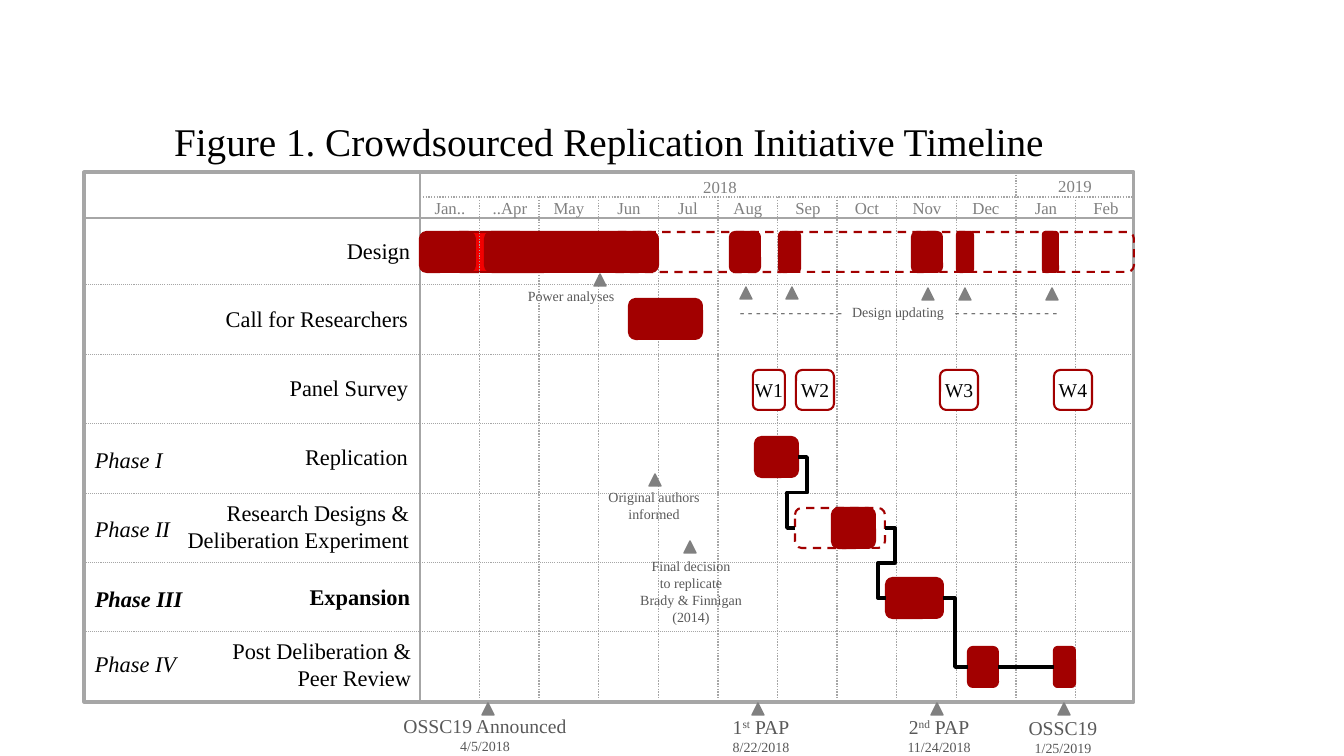
from dataclasses import dataclass
from typing import Any, NamedTuple

from lxml import etree
from pptx import Presentation
from pptx.dml.color import RGBColor
from pptx.enum.dml import MSO_LINE
from pptx.enum.shapes import MSO_CONNECTOR, MSO_SHAPE
from pptx.enum.text import MSO_ANCHOR, PP_ALIGN
from pptx.oxml.ns import qn
from pptx.util import Emu, Pt

STRAIGHT, ELBOW = MSO_CONNECTOR.STRAIGHT, MSO_CONNECTOR.ELBOW
ROUNDED, TRIANGLE, RECTANGLE = MSO_SHAPE.ROUNDED_RECTANGLE, MSO_SHAPE.ISOSCELES_TRIANGLE, MSO_SHAPE.RECTANGLE
DOTTED, DASHED = MSO_LINE.ROUND_DOT, MSO_LINE.DASH
LEFT, CENTER, RIGHT = PP_ALIGN.LEFT, PP_ALIGN.CENTER, PP_ALIGN.RIGHT
MIDDLE = MSO_ANCHOR.MIDDLE

BLACK = RGBColor(0x00, 0x00, 0x00)
WHITE = RGBColor(0xFF, 0xFF, 0xFF)
CRIMSON = RGBColor(0xA2, 0x00, 0x00)
BRIGHT_RED = RGBColor(0xF2, 0x00, 0x00)
GRID_GRAY = RGBColor(0xA6, 0xA6, 0xA6)
MARKER_GRAY = RGBColor(0x80, 0x80, 0x80)
NOTE_GRAY = RGBColor(0x59, 0x59, 0x59)

SCALE = 914400 / 100.8
FRAME_LEFT, FRAME_TOP, FRAME_RIGHT, FRAME_BOTTOM = 84, 172, 1134, 702
CHART_LEFT, YEAR_BOTTOM, HEADER_BOTTOM = 420, 197, 218
MONTH_STEP, FIRST_ROW_BOTTOM, ROW_STEP = 59.6, 285, 69.4
BAR_TOPS = (232, 299, 370, 437, 508, 578, 647)
BAR_HEIGHT, MARKER_SIZE = 40, 12
RIGHT_SITE, LEFT_SITE = 3, 1


class Style(NamedTuple):
    color: RGBColor
    align: Any
    font: dict[str, Any]


class Run(NamedTuple):
    text: str
    size: int | None = None
    raised: bool = False


@dataclass
class Label:
    left: int
    top: int
    width: int
    height: int
    paragraphs: list[list[Run]]
    style: Style


@dataclass
class Bar:
    row: int
    left: int
    width: int
    fill: RGBColor | None = CRIMSON
    dash: Any = None
    text: str = ""


def make_style(color: RGBColor, align: Any, size: int, **extra: Any) -> Style:
    return Style(color, align, {"name": "Times New Roman", "size": Pt(size), **extra})


TITLE = make_style(BLACK, CENTER, 28)
ACTIVITY = make_style(BLACK, RIGHT, 16)
MAIN_ACTIVITY = make_style(BLACK, RIGHT, 16, bold=True)
PHASE = make_style(BLACK, LEFT, 16, italic=True)
MAIN_PHASE = make_style(BLACK, LEFT, 16, italic=True, bold=True)
CALENDAR = make_style(MARKER_GRAY, CENTER, 12)
WAVE = make_style(BLACK, CENTER, 14)
MILESTONE = make_style(NOTE_GRAY, CENTER, 14)
NOTE = make_style(NOTE_GRAY, CENTER, 10)

presentation = Presentation()


def px(value: float) -> Emu:
    return Emu(round(value * SCALE))


presentation.slide_width, presentation.slide_height = px(1344), px(756)
slide = presentation.slides.add_slide(presentation.slide_layouts[6])


def write(frame: Any, paragraphs: list[list[Run]], style: Style) -> None:
    for index, runs in enumerate(paragraphs):
        paragraph = frame.paragraphs[0] if index == 0 else frame.add_paragraph()
        paragraph.alignment = style.align
        for piece in runs:
            run = paragraph.add_run()
            run.text = piece.text
            for key, value in style.font.items():
                setattr(run.font, key, value)
            run.font.color.rgb = style.color
            if piece.size:
                run.font.size = Pt(piece.size)
            if piece.raised:
                run.font._element.set("baseline", "30000")


def add_label(label: Label) -> None:
    box = slide.shapes.add_textbox(px(label.left), px(label.top), px(label.width), px(label.height))
    box.text_frame.word_wrap = True
    write(box.text_frame, label.paragraphs, label.style)


def add_box(kind: Any, left: int, top: int, width: int, height: int,
            fill: RGBColor | None, line: RGBColor, weight: float, dash: Any = None) -> Any:
    box = slide.shapes.add_shape(kind, px(left), px(top), px(width), px(height))
    box.shadow.inherit = False
    if fill is None:
        box.fill.background()
    else:
        box.fill.solid()
        box.fill.fore_color.rgb = fill
    box.line.color.rgb = line
    box.line.width = Pt(weight)
    box.line.dash_style = dash
    return box


def add_bar(bar: Bar) -> Any:
    box = add_box(ROUNDED, bar.left, BAR_TOPS[bar.row], bar.width, BAR_HEIGHT, bar.fill, CRIMSON, 1.5, bar.dash)
    if bar.text:
        frame = box.text_frame
        for key, value in {"margin_left": 0, "margin_right": 0, "vertical_anchor": MIDDLE, "word_wrap": False}.items():
            setattr(frame, key, value)
        write(frame, [[Run(bar.text)]], WAVE)
    return box


def add_line(x1: float, y1: float, x2: float, y2: float, color: RGBColor = GRID_GRAY,
             weight: float = 1, dash: Any = None, kind: Any = STRAIGHT) -> Any:
    line = slide.shapes.add_connector(kind, px(x1), px(y1), px(x2), px(y2))
    line.line.color.rgb = color
    line.line.width = Pt(weight)
    line.line.dash_style = dash
    etree.SubElement(line._element.spPr, qn("a:effectLst"))
    return line


def link(start: Bar, end: Bar, turns: tuple[int, ...] = ()) -> None:
    x1, x2 = start.left + start.width, end.left
    y1, y2 = (BAR_TOPS[bar.row] + BAR_HEIGHT / 2 for bar in (start, end))
    line = add_line(x1, y1, x2, y2, BLACK, 2.5 if turns else 2.25, kind=ELBOW if turns else STRAIGHT)
    line.begin_connect(boxes[start.row, start.left], RIGHT_SITE)
    line.end_connect(boxes[end.row, end.left], LEFT_SITE)
    ratios = [(turn - x1) / (x2 - x1) for turn in turns]
    if len(ratios) == 2:
        ratios.insert(1, 0.5)
    if ratios:
        geometry = line._element.spPr.find(qn("a:prstGeom"))
        geometry.set("prst", f"bentConnector{len(ratios) + 2}")
        guides = geometry.find(qn("a:avLst"))
        for index, ratio in enumerate(ratios, 1):
            etree.SubElement(guides, qn("a:gd"), name=f"adj{index}", fmla=f"val {round(ratio * 100000)}")


def plain(*lines: str) -> list[list[Run]]:
    return [[Run(line)] for line in lines]


add_bar(Bar(0, 453, 73, BRIGHT_RED))
add_line(CHART_LEFT, FRAME_TOP, CHART_LEFT, FRAME_BOTTOM, weight=1.5)
add_box(RECTANGLE, FRAME_LEFT, FRAME_TOP, FRAME_RIGHT - FRAME_LEFT, FRAME_BOTTOM - FRAME_TOP, None, GRID_GRAY, 2.25)
for row in range(6):
    y = FIRST_ROW_BOTTOM + row * ROW_STEP
    add_line(FRAME_LEFT, y, FRAME_RIGHT, y, weight=0.75, dash=DOTTED)
add_line(FRAME_LEFT, HEADER_BOTTOM, FRAME_RIGHT, HEADER_BOTTOM, weight=1.5)
add_line(CHART_LEFT, YEAR_BOTTOM, FRAME_RIGHT, YEAR_BOTTOM, dash=DOTTED)

MONTHS = ("Jan..", "..Apr", "May", "Jun", "Jul", "Aug", "Sep", "Oct", "Nov", "Dec", "Jan", "Feb")
for index, month in enumerate(MONTHS):
    x = CHART_LEFT + index * MONTH_STEP
    if index:
        add_line(x, FRAME_TOP if index == 10 else YEAR_BOTTOM, x, FRAME_BOTTOM, dash=DOTTED)
    add_label(Label(round(x), 193, 60, 30, plain(month), CALENDAR))

replication, expansion = Bar(3, 755, 43), Bar(5, 886, 57)
designs_window = Bar(4, 795, 90, None, DASHED)
review, final_review = Bar(6, 968, 30), Bar(6, 1054, 21)
BARS = [
    Bar(0, 607, 527, None, DASHED), Bar(0, 420, 55), Bar(0, 485, 173),
    *(Bar(0, left, width) for left, width in ((730, 30), (779, 21), (912, 30), (957, 16), (1043, 15))),
    Bar(1, 629, 73),
    *(Bar(2, left, width, WHITE, None, wave) for left, width, wave in
      ((753, 32, "W1"), (796, 38, "W2"), (940, 38, "W3"), (1054, 38, "W4"))),
    replication, Bar(4, 832, 43), designs_window, expansion, review, final_review,
]
boxes = {(bar.row, bar.left): add_bar(bar) for bar in BARS}
link(replication, designs_window, (807, 787))
link(designs_window, expansion, (895, 878))
link(expansion, review, (955,))
link(review, final_review)

MARKERS = ((740, 287), (594, 274), (1058, 703), (482, 703), (752, 703), (931, 703), (649, 474),
           (786, 287), (922, 288), (959, 288), (1046, 288), (684, 541))
for left, top in MARKERS:
    add_box(TRIANGLE, left, top, MARKER_SIZE, MARKER_SIZE, MARKER_GRAY, MARKER_GRAY, 1)

DASHES = " ".join("-" * 13)
LABELS = [
    Label(84, 112, 1050, 57, plain("Figure 1. Crowdsourced Replication Initiative Timeline"), TITLE),
    Label(690, 172, 60, 30, plain("2018"), CALENDAR),
    Label(1045, 171, 60, 30, plain("2019"), CALENDAR),
    Label(154, 232, 266, 37, plain("Design"), ACTIVITY),
    Label(152, 300, 266, 37, plain("Call for Researchers"), ACTIVITY),
    Label(152, 369, 266, 37, plain("Panel Survey"), ACTIVITY),
    Label(262, 438, 156, 37, plain("Replication"), ACTIVITY),
    Label(168, 494, 251, 64, plain("Research Designs &", "Deliberation Experiment"), ACTIVITY),
    Label(291, 578, 129, 37, plain("Expansion"), MAIN_ACTIVITY),
    Label(218, 632, 203, 64, plain("Post Deliberation &", "Peer Review"), ACTIVITY),
    Label(85, 441, 115, 37, plain("Phase I"), PHASE),
    Label(85, 510, 115, 37, plain("Phase II"), PHASE),
    Label(85, 580, 115, 37, plain("Phase III"), MAIN_PHASE),
    Label(85, 645, 115, 37, plain("Phase IV"), PHASE),
    Label(513, 283, 116, 27, plain("Power analyses"), NOTE),
    Label(593, 484, 122, 44, plain("Original authors", "informed"), NOTE),
    Label(621, 553, 140, 78, plain("Final decision", "to replicate", "Brady & Finnigan (2014)"), NOTE),
    *(Label(center - 70, 299, 140, 27, plain(text), NOTE) for center, text in
      ((791, DASHES), (898, "Design updating"), (1006, DASHES))),
    *(Label(center - 98, top, 196, 50, [name, [Run(date, 10)]], MILESTONE) for center, top, name, date in (
        (485, 709, [Run("OSSC19 Announced")], "4/5/2018"),
        (761, 710, [Run("1"), Run("st", raised=True), Run(" PAP")], "8/22/2018"),
        (939, 710, [Run("2"), Run("nd", raised=True), Run(" PAP")], "11/24/2018"),
        (1063, 711, [Run("OSSC19")], "1/25/2019"))),
]
for label in LABELS:
    add_label(label)

presentation.save("out.pptx")
